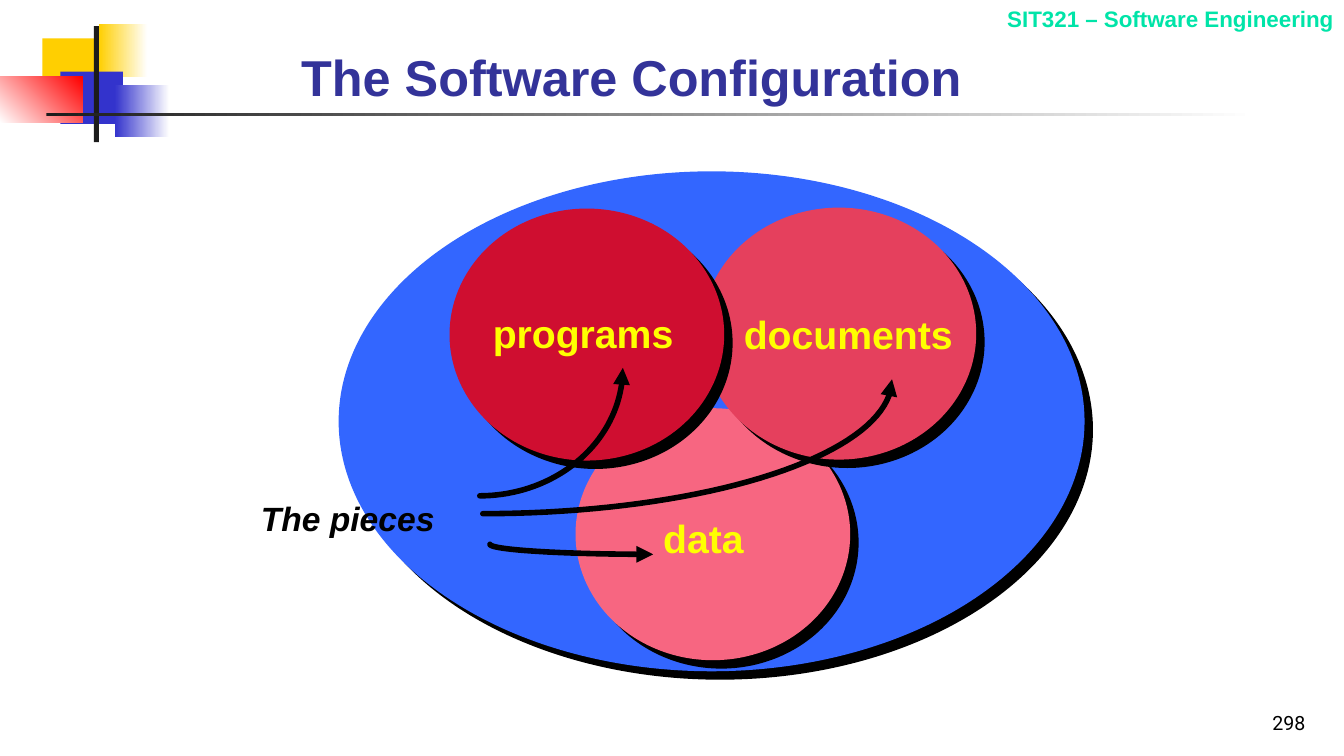
from math import cos, radians, sin

from lxml.etree import SubElement
from pptx import Presentation
from pptx.dml.color import RGBColor
from pptx.enum.shapes import MSO_SHAPE as Preset
from pptx.enum.text import MSO_ANCHOR as Anchor, PP_ALIGN as Align
from pptx.oxml.ns import qn
from pptx.util import Pt

COLORS = {
    "white": "FFFFFF", "black": "000000", "charcoal": "1C1C1C",
    "gold": "FFCF01", "indigo": "3333CC", "red": "FF0000",
    "course": "00E4A8", "title": "333399", "label": "FFFF00",
    "configuration": "3366FF", "data": "F76681",
    "documents": "E5405D", "programs": "CF0E30",
}
ARC_STEPS = 40


def rgb(name):
    return RGBColor.from_string(COLORS[name])


def add_plain_shape(slide, preset, box, color):
    shape = slide.shapes.add_shape(preset, *map(Pt, box))
    shape.shadow.inherit = False
    shape.fill.solid()
    shape.fill.fore_color.rgb = rgb(color)
    shape.line.fill.background()
    return shape


def add_fading_bar(slide, box, start, end, angle=0):
    """Add a rectangle with a gradient; the angle runs counter-clockwise."""
    bar = add_plain_shape(slide, Preset.RECTANGLE, box, start)
    bar.fill.gradient()
    bar.fill.gradient_angle = angle
    for stop, color, position in zip(bar.fill.gradient_stops, (start, end), (0, 1)):
        stop.color.rgb = rgb(color)
        stop.position = position


def add_shadowed_ellipse(slide, box, color):
    ellipse = add_plain_shape(slide, Preset.OVAL, box, color)
    effects = ellipse._element.spPr.find(qn("a:effectLst"))
    shadow = SubElement(effects, qn("a:outerShdw"), blurRad="0",
                        dist=str(Pt(8.5)), dir="2700000", algn="ctr", rotWithShape="0")
    SubElement(shadow, qn("a:srgbClr"), val=COLORS["black"])


def add_text(slide, box, text, size, color, bold=True, italic=False, font="Arial",
             align=Align.LEFT, anchor=Anchor.TOP, wrap=True):
    text_frame = slide.shapes.add_textbox(*map(Pt, box)).text_frame
    text_frame.word_wrap = wrap
    text_frame.vertical_anchor = anchor
    text_frame.text = text
    paragraph = text_frame.paragraphs[0]
    paragraph.alignment = align
    run_font = paragraph.runs[0].font
    run_font.name, run_font.size = font, Pt(size)
    run_font.bold, run_font.italic = bold, italic
    run_font.color.rgb = rgb(color)


def add_arc_arrow(slide, center, radii, start_angle):
    """Draw a quarter ellipse, clockwise, with its arrowhead at the start."""
    points = []
    for step in range(ARC_STEPS + 1):
        angle = radians(start_angle + 90 * step / ARC_STEPS)
        points.append((Pt(center[0] + radii[0] * cos(angle)),
                       Pt(center[1] + radii[1] * sin(angle))))
    builder = slide.shapes.build_freeform(*points[0])
    builder.add_line_segments(points[1:], close=False)
    arrow = builder.convert_to_shape()
    arrow.shadow.inherit = False
    arrow.fill.background()
    arrow.line.width = Pt(4)
    arrow.line.color.rgb = rgb("black")
    line = arrow.line._get_or_add_ln()
    line.set("cap", "rnd")
    SubElement(line, qn("a:round"))
    SubElement(line, qn("a:headEnd"), type="triangle")


def add_corner_ornament(slide):
    add_plain_shape(slide, Preset.RECTANGLE, (30.2, 27.4, 46, 37.4), "gold")
    add_fading_bar(slide, (70.6, 17.3, 34.6, 37.4), "gold", "white")
    add_plain_shape(slide, Preset.RECTANGLE, (43.2, 51.1, 44.6, 37.4), "indigo")
    add_fading_bar(slide, (82.1, 60.5, 38.9, 37.4), "indigo", "white")
    add_fading_bar(slide, (0, 54.7, 59, 33.1), "white", "red", angle=45)
    add_plain_shape(slide, Preset.RECTANGLE, (67, 18.7, 3.6, 82.8), "charcoal")
    add_fading_bar(slide, (33.1, 80.6, 864, 2.2), "charcoal", "white")


def add_configuration(slide):
    add_shadowed_ellipse(slide, (241.9, 122.4, 532.8, 357.1), "configuration")
    for color, left, top in (("data", 411.1, 291.6),
                             ("documents", 501.1, 148.3),
                             ("programs", 321.1, 149)):
        add_shadowed_ellipse(slide, (left, top, 196.2, 180), color)
    for text, left, top, width in (("programs", 344.9, 217.4, 143.3),
                                   ("documents", 524.2, 218.2, 164.2),
                                   ("data", 466.6, 363.6, 72.7)):
        add_text(slide, (left, top, width, 40.6), text, 28, "label", wrap=False)
    add_text(slide, (179.3, 352.1, 139.7, 36), "The pieces", 24, "black",
             italic=True, wrap=False)
    add_arc_arrow(slide, (466.6, 388.8), (116.6, 7.2), start_angle=90)
    add_arc_arrow(slide, (344.9, 270.9), (292.3, 96), start_angle=0)
    add_arc_arrow(slide, (342.7, 262.8), (102.2, 91.4), start_angle=0)


def main():
    presentation = Presentation()
    presentation.slide_width, presentation.slide_height = Pt(960), Pt(540)
    slide = presentation.slides.add_slide(presentation.slide_layouts[6])
    add_corner_ornament(slide)
    add_text(slide, (578.2, 0, 381.6, 26.6), "SIT321 – Software Engineering", 16,
             "course", align=Align.RIGHT)
    add_text(slide, (739.4, 491.8, 200.2, 36), "298", 14, "black", bold=False,
             font="Roboto", align=Align.RIGHT, anchor=Anchor.BOTTOM)
    add_text(slide, (208.1, 20.2, 583.9, 68.4), "The Software Configuration", 36,
             "title", anchor=Anchor.MIDDLE)
    add_configuration(slide)
    presentation.save("out.pptx")


if __name__ == "__main__":
    main()
